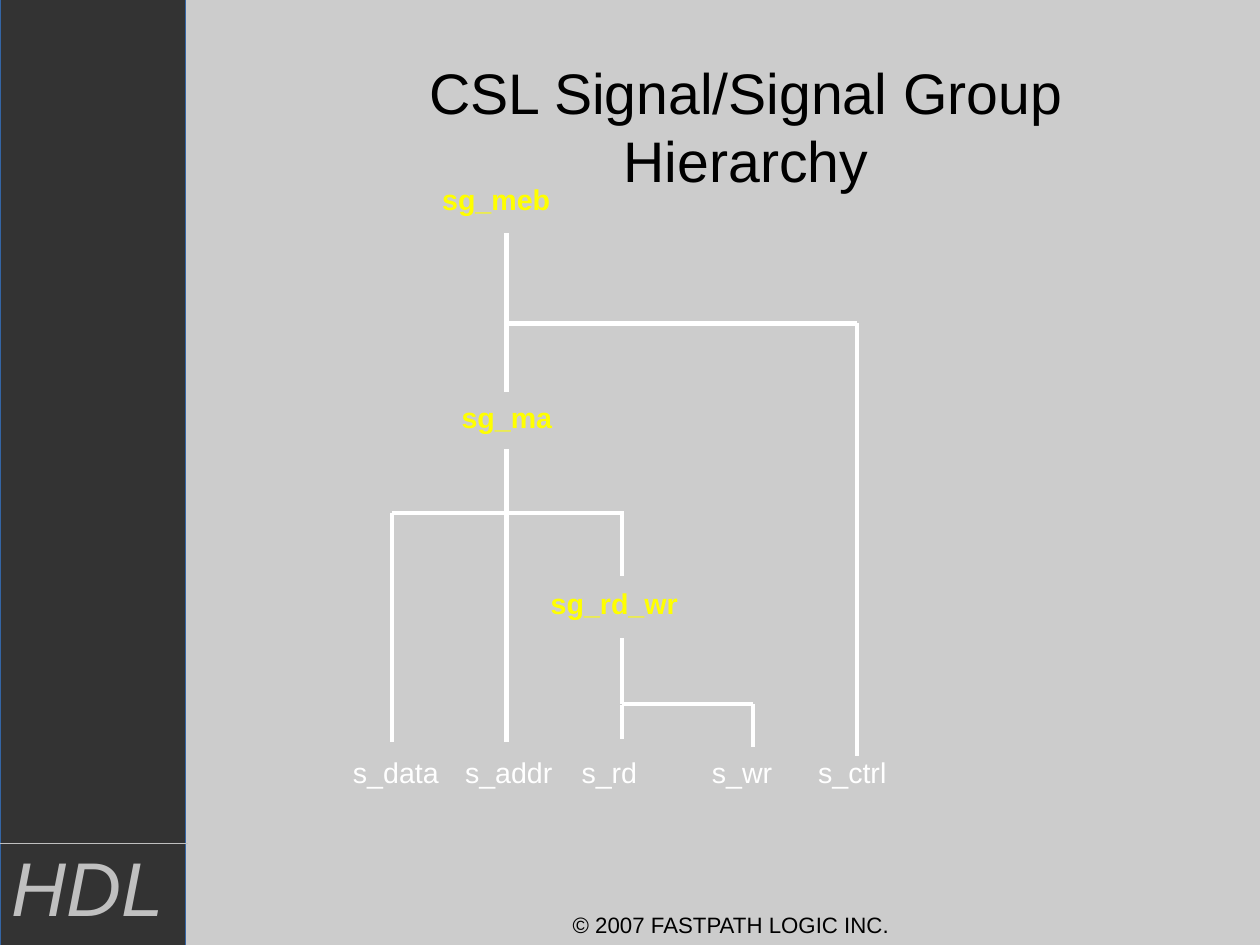
import dataclasses

import pptx
import pptx.dml.color
import pptx.enum.shapes
import pptx.enum.text
import pptx.oxml.ns
import pptx.util
from lxml import etree

Inches = pptx.util.Inches
Align = pptx.enum.text.PP_ALIGN
Anchor = pptx.enum.text.MSO_ANCHOR
CM_PER_INCH = 2.54


@dataclasses.dataclass(frozen=True)
class Theme:
    font: str = "Arial"
    background: str = "CCCCCC"
    sidebar: str = "333333"
    sidebar_edge: str = "3465A4"
    muted: str = "C0C0C0"
    ink: str = "000000"
    signal: str = "FFFFFF"
    group: str = "FFFF00"
    title_size: float = 36
    mark_size: float = 48
    label_size: float = 18
    footer_size: float = 14
    hairline: float = 0.01
    branch: float = 2.83


@dataclasses.dataclass(frozen=True)
class Box:
    left: float
    top: float
    width: float
    height: float

    def inner(self, left, top, width, height):
        return Box(self.left + left, self.top + top, width, height)

    def lengths(self):
        return [Inches(value) for value in dataclasses.astuple(self)]


THEME = Theme()


def rgb(color):
    return pptx.dml.color.RGBColor.from_string(color)


def add_text(page, box, text, size, color, bold=False, italic=False,
             align=Align.LEFT, spacing=1.0):
    shape = page.shapes.add_textbox(*box.lengths())
    frame = shape.text_frame
    frame.word_wrap = True
    para = frame.paragraphs[0]
    para.text = text
    para.alignment = align
    para.line_spacing = spacing
    para.font.name = THEME.font
    para.font.size = pptx.util.Pt(size)
    para.font.bold = bold
    para.font.italic = italic
    para.font.color.rgb = rgb(color)
    return frame


def add_line(page, box, start, end, color, width):
    points = [Inches(value) for value in (
        box.left + start[0], box.top + start[1],
        box.left + end[0], box.top + end[1])]
    line = page.shapes.add_connector(
        pptx.enum.shapes.MSO_CONNECTOR.STRAIGHT, *points)
    line.line.color.rgb = rgb(color)
    line.line.width = pptx.util.Pt(width)
    etree.SubElement(line._element.spPr, pptx.oxml.ns.qn("a:effectLst"))


def draw_sidebar(page, box):
    panel = page.shapes.add_shape(
        pptx.enum.shapes.MSO_SHAPE.RECTANGLE, *box.lengths())
    panel.shadow.inherit = False
    panel.fill.solid()
    panel.fill.fore_color.rgb = rgb(THEME.sidebar)
    panel.line.color.rgb = rgb(THEME.sidebar_edge)
    panel.line.width = pptx.util.Pt(THEME.hairline)
    add_text(page, box.inner(0, 7.37, 2.06, 0.85), "HDL", THEME.mark_size,
             THEME.muted, italic=True, spacing=0.93)
    add_line(page, box, (0, 7.38), (1.64, 7.38),
             THEME.muted, THEME.hairline)


def draw_title(page, box):
    frame = add_text(page, box, "CSL Signal/Signal Group Hierarchy",
                     THEME.title_size, THEME.ink, align=Align.CENTER)
    frame.vertical_anchor = Anchor.MIDDLE
    frame.margin_left = frame.margin_right = 0
    frame.margin_top = frame.margin_bottom = 0


def draw_hierarchy(page, box):
    data, addr, read, write, ctrl = 0.44, 1.44, 2.45, 3.6, 4.51
    top_bus, middle_bus, low_bus = 1.26, 2.92, 4.59
    stems = [
        (addr, 0.47, 1.86), (ctrl, top_bus, 5.04),
        (addr, 2.36, 4.92), (data, middle_bus, 4.92),
        (read, 2.9, 3.47), (read, 4.01, low_bus), (read, 4.6, 4.9),
        (write, low_bus, 4.97),
    ]
    buses = [(top_bus, addr, ctrl), (middle_bus, data, read),
             (low_bus, read, write)]
    branches = [((x, start), (x, end)) for x, start, end in stems]
    branches += [((start, y), (end, y)) for y, start, end in buses]
    for start, end in branches:
        add_line(page, box, start, end, THEME.signal, THEME.branch)

    groups = [("sg_meb", 0.78, 0, 1.32), ("sg_ma", 0.95, 1.91, 1.11),
              ("sg_rd_wr", 1.73, 3.53, 1.47)]
    for name, left, top, width in groups:
        add_text(page, box.inner(left, top, width, 0.45), name,
                 THEME.label_size, THEME.group, bold=True, spacing=0.93)

    signals = [("s_data", 0, 0.96), ("s_addr", 0.98, 1.05), ("s_rd", 2, 0.74),
               ("s_wr", 3.14, 0.87), ("s_ctrl", 4.07, 0.9)]
    for name, left, width in signals:
        add_text(page, box.inner(left, 5.01, width, 0.45), name,
                 THEME.label_size, THEME.signal, spacing=0.93)


def draw_footer(page, box):
    add_text(page, box, "© 2007 FASTPATH LOGIC INC.", THEME.footer_size,
             THEME.ink, align=Align.CENTER)


def main():
    deck = pptx.Presentation()
    deck.slide_width = Inches(28 / CM_PER_INCH)
    deck.slide_height = Inches(21 / CM_PER_INCH)
    page = deck.slides.add_slide(deck.slide_layouts[6])
    page.background.fill.solid()
    page.background.fill.fore_color.rgb = rgb(THEME.background)
    draw_sidebar(page, Box(0, 0, 1.62, 8.27))
    draw_title(page, Box(2.85, 0.38, 7.35, 1.44))
    draw_hierarchy(page, Box(2.99, 1.57, 4.97, 5.48))
    draw_footer(page, Box(3.81, 7.92, 5.17, 0.34))
    deck.save("out.pptx")


if __name__ == "__main__":
    main()
